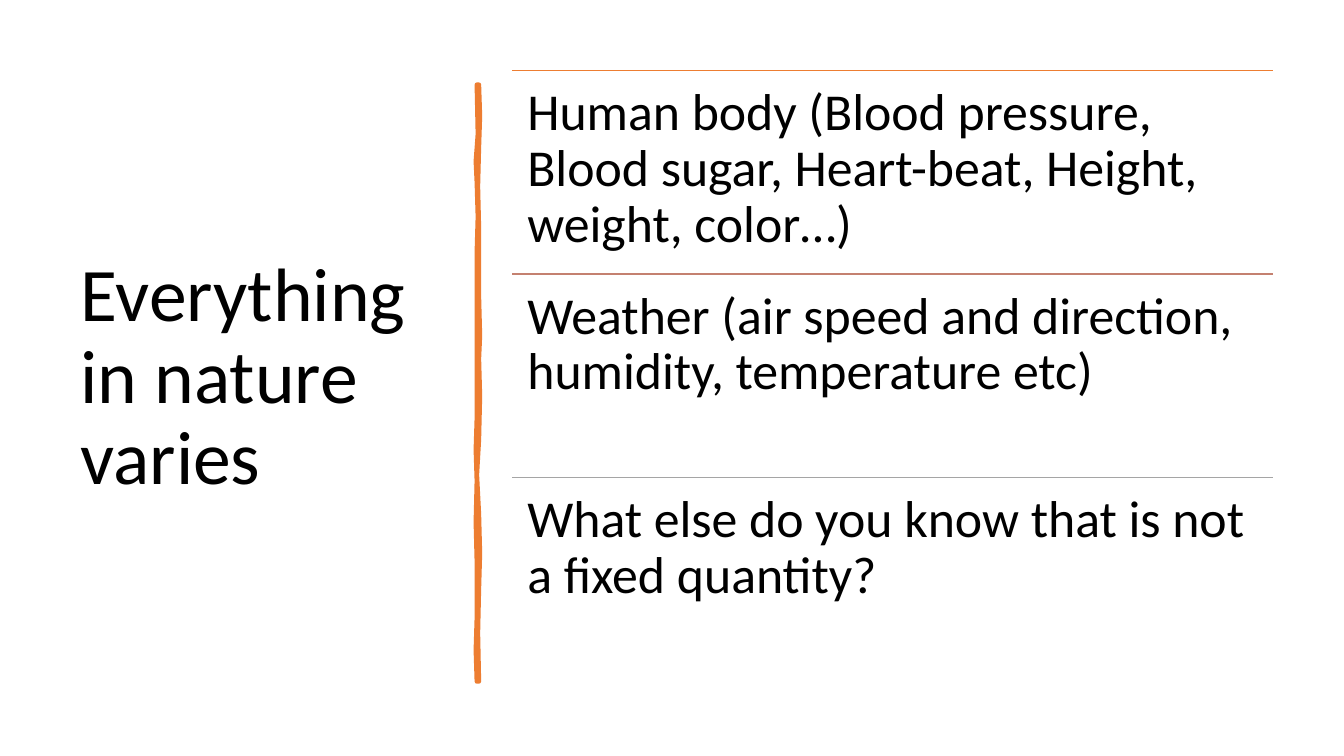
import pptx
import pptx.dml.color
import pptx.enum.shapes
import pptx.enum.text
import pptx.oxml.ns
import pptx.util
from lxml import etree
from pptx.util import Inches

RGBColor = pptx.dml.color.RGBColor
Anchor = pptx.enum.text.MSO_ANCHOR

BLACK = RGBColor(0x00, 0x00, 0x00)
ORANGE = RGBColor(0xED, 0x7D, 0x31)
ROSE = RGBColor(0xC4, 0x81, 0x70)
GRAY = RGBColor(0xA5, 0xA5, 0xA5)
FONT = "Calibri"

# Content
TITLE = "Everything in nature varies"
EXAMPLES = [
    ("Human body (Blood pressure, Blood sugar, Heart-beat, Height, weight, color…)", ORANGE),
    ("Weather (air speed and direction, humidity, temperature etc)", ROSE),
    ("What else do you know that is not a fixed quantity?", GRAY),
]

# Hand-drawn divider: outline down the right edge and up the left edge
DIVIDER_OUTLINE = [
    (4.75, 0.84), (4.76, 1.15), (4.75, 1.46), (4.74, 1.85), (4.75, 2.26),
    (4.75, 2.94), (4.76, 3.33), (4.75, 3.56), (4.76, 3.93), (4.75, 4.36),
    (4.73, 4.71), (4.75, 5.1), (4.76, 5.49), (4.75, 5.84), (4.74, 6.28),
    (4.75, 6.76), (4.73, 6.76), (4.72, 6.45), (4.73, 6.13), (4.73, 5.57),
    (4.72, 5.18), (4.73, 4.77), (4.72, 4.46), (4.73, 4.15), (4.73, 3.35),
    (4.73, 2.5), (4.74, 2.15), (4.73, 1.81), (4.72, 1.6), (4.74, 1.33),
    (4.73, 0.84),
]

# Layout in inches
LIST_LEFT, LIST_TOP, LIST_WIDTH, ROW_HEIGHT = 5.08, 0.7, 7.55, 2.02


def add_text(page, text, left, top, width, height, *, size, inset=None,
             anchor=Anchor.TOP, color=BLACK, space_after=0):
    box = page.shapes.add_textbox(Inches(left), Inches(top), Inches(width), Inches(height))
    frame = box.text_frame
    frame.word_wrap = True
    frame.vertical_anchor = anchor
    if inset is not None:
        frame.margin_left = frame.margin_right = Inches(inset)
        frame.margin_top = frame.margin_bottom = Inches(inset)
    para = frame.paragraphs[0]
    para.line_spacing = 0.9
    para.space_after = pptx.util.Pt(space_after)
    span = para.add_run()
    span.text = text
    span.font.name = FONT
    span.font.size = pptx.util.Pt(size)
    span.font.color.rgb = color


def add_rule(page, left, top, width, color):
    rule = page.shapes.add_connector(
        pptx.enum.shapes.MSO_CONNECTOR.STRAIGHT,
        Inches(left), Inches(top), Inches(left + width), Inches(top))
    rule.line.color.rgb = color
    rule.line.width = pptx.util.Pt(1)
    etree.SubElement(rule.element.spPr, pptx.oxml.ns.qn("a:effectLst"))


def add_divider(page):
    start, *rest = [(Inches(x), Inches(y)) for x, y in DIVIDER_OUTLINE]
    builder = page.shapes.build_freeform(*start)
    builder.add_line_segments(rest, close=True)
    divider = builder.convert_to_shape()
    divider.shadow.inherit = False
    divider.fill.solid()
    divider.fill.fore_color.rgb = ORANGE
    divider.line.color.rgb = ORANGE
    divider.line.width = pptx.util.Pt(3.25)
    # Rounded corners for the brush stroke
    outline = divider.element.spPr.find(pptx.oxml.ns.qn("a:ln"))
    etree.SubElement(outline, pptx.oxml.ns.qn("a:round"))


def main():
    deck = pptx.Presentation()
    deck.slide_width, deck.slide_height = Inches(13.33), Inches(7.5)
    page = deck.slides.add_slide(deck.slide_layouts[6])

    # Title and divider
    add_text(page, TITLE, 0.7, 0.7, 3.74, 6.11, size=54, anchor=Anchor.MIDDLE)
    add_divider(page)

    # Ruled list of examples
    for row, (text, color) in enumerate(EXAMPLES):
        top = LIST_TOP + row * ROW_HEIGHT
        add_rule(page, LIST_LEFT, top, LIST_WIDTH, color)
        add_text(page, text, LIST_LEFT, top, LIST_WIDTH, ROW_HEIGHT,
                 size=37, inset=0.15, space_after=13)

    deck.save("out.pptx")


if __name__ == "__main__":
    main()
